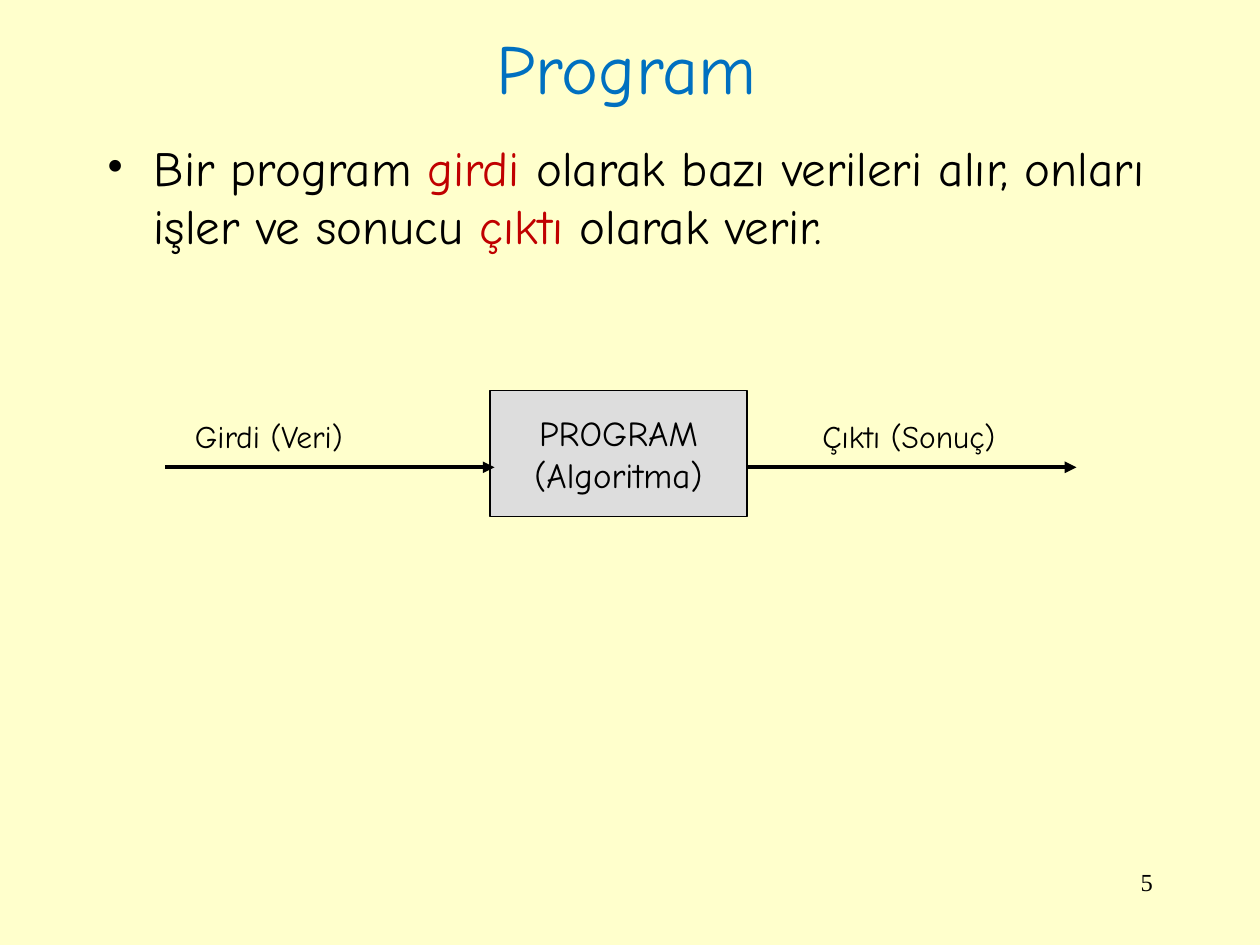
from lxml import etree
from pptx import Presentation
from pptx import util as u
from pptx.dml.color import RGBColor
from pptx.enum import shapes, text
from pptx.oxml.ns import qn

BLACK = RGBColor(0x00, 0x00, 0x00)
BLUE = RGBColor(0x00, 0x70, 0xC0)
RED = RGBColor(0xC0, 0x00, 0x00)
GREY = RGBColor(0xDD, 0xDD, 0xDD)
CREAM = RGBColor(0xFF, 0xFF, 0xCC)
LEFT, CENTER, RIGHT = text.PP_ALIGN.LEFT, text.PP_ALIGN.CENTER, text.PP_ALIGN.RIGHT
TOP, MIDDLE = text.MSO_ANCHOR.TOP, text.MSO_ANCHOR.MIDDLE

presentation = Presentation()
presentation.slide_width = u.Cm(25.4)
presentation.slide_height = u.Cm(19.05)
slide = presentation.slides.add_slide(presentation.slide_layouts[6])
slide.background.fill.solid()
slide.background.fill.fore_color.rgb = CREAM


def write(shape, paragraphs, size, font="Comic Neue", align=LEFT, anchor=TOP, wrap=True):
    frame = shape.text_frame
    frame.word_wrap = wrap
    frame.vertical_anchor = anchor
    for index, runs in enumerate(paragraphs):
        paragraph = frame.add_paragraph() if index else frame.paragraphs[0]
        paragraph.alignment = align
        for words, color in runs:
            run = paragraph.add_run()
            run.text = words
            run.font.name = font
            run.font.size = u.Pt(size)
            run.font.color.rgb = color
    return frame


def add_box(left, top, width, height):
    return slide.shapes.add_textbox(u.Cm(left), u.Cm(top), u.Cm(width), u.Cm(height))


title = add_box(1.83, 0.38, 21.59, 1.93)
write(title, [[("Program", BLUE)]], 40, align=CENTER, anchor=MIDDLE)

definition = add_box(1.9, 2.64, 21.59, 14.3)
sentence = [
    ("Bir program ", BLACK),
    ("girdi", RED),
    (" olarak bazı verileri alır, onları işler ve sonucu ", BLACK),
    ("çıktı", RED),
    (" olarak verir.", BLACK),
]
paragraph = write(definition, [sentence], 28).paragraphs[0]
paragraph.space_before = u.Pt(5.6)
properties = paragraph._p.get_or_add_pPr()
properties.set("marL", str(u.Cm(0.95)))
properties.set("indent", str(-u.Cm(0.95)))
etree.SubElement(properties, qn("a:buFont")).set("typeface", "Times New Roman")
etree.SubElement(properties, qn("a:buChar")).set("char", "•")

page_number = add_box(18.21, 17.35, 5.28, 1.27)
write(page_number, [[("5", BLACK)]], 14, font="Times New Roman", align=RIGHT)

program = slide.shapes.add_shape(
    shapes.MSO_SHAPE.RECTANGLE, u.Cm(9.88), u.Cm(7.87), u.Cm(5.18), u.Cm(2.54))
program.shadow.inherit = False
program.fill.solid()
program.fill.fore_color.rgb = GREY
program.line.color.rgb = BLACK
program.line.width = u.Pt(0.75)
write(program, [[("PROGRAM", BLACK)], [("(Algoritma)", BLACK)]], 20,
      align=CENTER, anchor=MIDDLE, wrap=False)

ARROW_Y, ARROW_LENGTH = 9.42, 6.64
flows = [
    (3.33, "Girdi (Veri)", 3.68, 3.91),
    (15.06, "Çıktı (Sonuç)", 16.33, 4.34),
]
for start, label, label_left, label_width in flows:
    arrow = slide.shapes.add_connector(
        shapes.MSO_CONNECTOR.STRAIGHT,
        u.Cm(start), u.Cm(ARROW_Y), u.Cm(start + ARROW_LENGTH), u.Cm(ARROW_Y))
    arrow.line.color.rgb = BLACK
    arrow.line.width = u.Pt(2.25)
    etree.SubElement(arrow.line._get_or_add_ln(), qn("a:tailEnd")).set("type", "triangle")
    etree.SubElement(arrow._element.spPr, qn("a:effectLst"))
    label_box = add_box(label_left, 8.28, label_width, 1.02)
    frame = write(label_box, [[(label, BLACK)]], 18, wrap=False)
    frame.auto_size = text.MSO_AUTO_SIZE.SHAPE_TO_FIT_TEXT

presentation.save("out.pptx")
